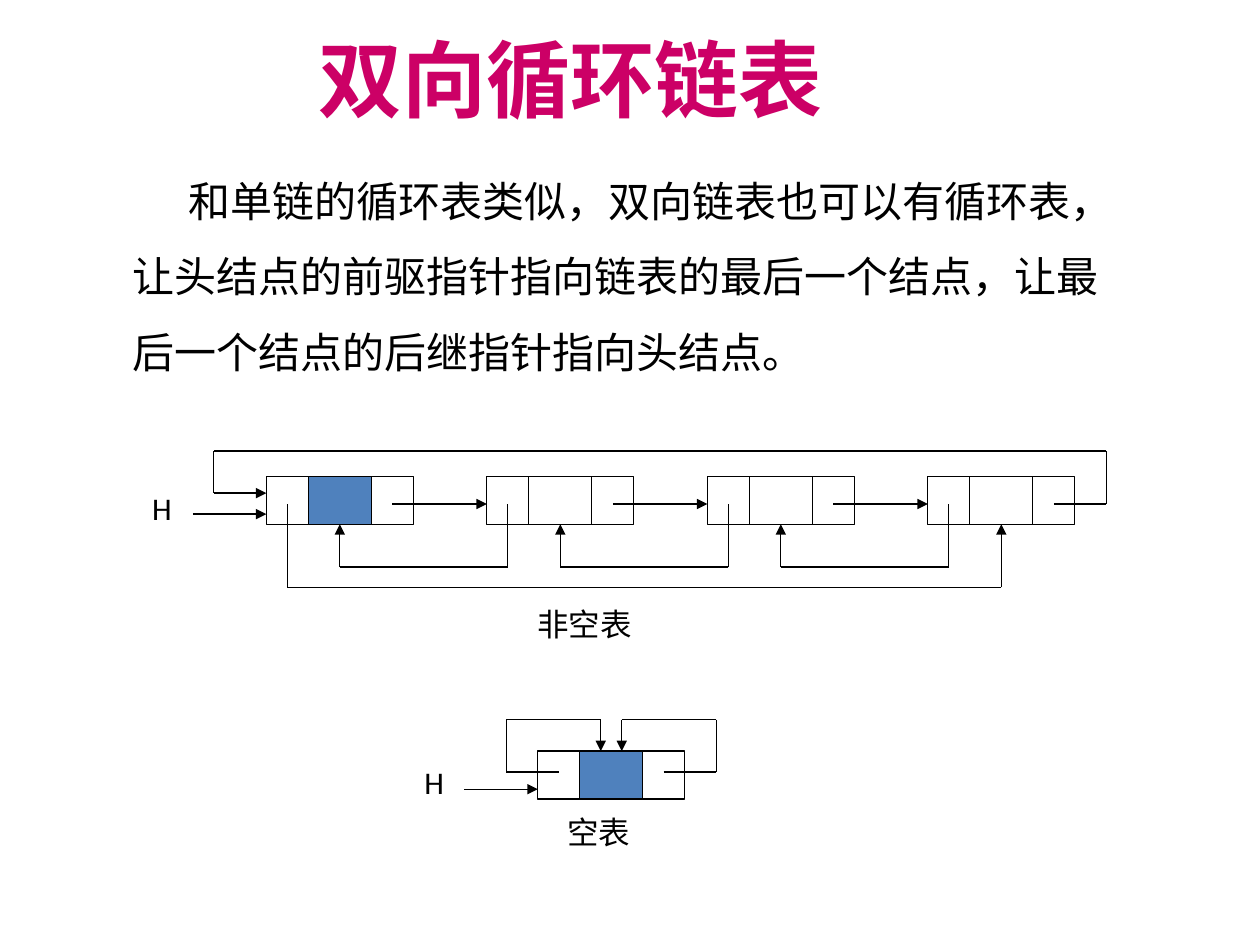
from lxml.etree import SubElement
from pptx import Presentation
from pptx.dml.color import RGBColor
from pptx.enum.shapes import MSO_CONNECTOR, MSO_SHAPE
from pptx.oxml.ns import qn
from pptx.util import Pt

BLACK = RGBColor(0x00, 0x00, 0x00)
BLUE = RGBColor(0x4F, 0x81, 0xBD)
MAGENTA = RGBColor(0xCC, 0x00, 0x66)

CELL_WIDTHS = (24, 36, 24)  # previous pointer, data, next pointer
CELL_HEIGHT = 27.4
TO_PREVIOUS, TO_DATA, TO_NEXT = 12, 42, 72  # cell centres from the node's left
LIST_LEFT, LIST_TOP, PITCH = 152.2, 272.2, 126
EMPTY_LEFT, EMPTY_TOP = 307.3, 429.2

deck = Presentation()
deck.slide_width, deck.slide_height = Pt(720), Pt(540)
slide = deck.slides.add_slide(deck.slide_layouts[6])
shapes = slide.shapes

# Text
for content, left, top, width, height, size, color, bold in (
    ("双向循环链表", 175, 12.2, 306.7, 65.5, 48, MAGENTA, True),
    ("和单链的循环表类似，双向链表也可以有循环表，\n"
     "让头结点的前驱指针指向链表的最后一个结点，让最\n"
     "后一个结点的后继指针指向头结点。", 68.4, 82.1, 597.6, 136.8, 24, BLACK, False),
    ("H", 79.9, 275.8, 48, 36, 18, BLACK, False),
    ("非空表", 300, 342, 128, 36, 18, BLACK, False),
    ("H", 235.4, 432.7, 48, 36, 18, BLACK, False),
    ("空表", 317.2, 460.8, 74, 36, 18, BLACK, False),
):
    box = shapes.add_textbox(Pt(left), Pt(top), Pt(width), Pt(height))
    box.text_frame.word_wrap = True
    box.text_frame.text = content
    paragraphs = box.text_frame.paragraphs
    for para in paragraphs:
        for span in para.runs:
            span.font.name = "Calibri"
            span.font.size = Pt(size)
            span.font.bold = bold
            span.font.color.rgb = color
        if len(paragraphs) > 1:
            para.line_spacing = 1.5
    if len(paragraphs) > 1:
        paragraphs[0]._p.get_or_add_pPr().set("indent", str(Pt(32.5)))


def add_node(left, top, is_head):
    """Draw the three cells of a node and return its data cell."""
    cells = []
    for index, width in enumerate(CELL_WIDTHS):
        cell = shapes.add_shape(MSO_SHAPE.RECTANGLE, Pt(left + sum(CELL_WIDTHS[:index])),
                                Pt(top), Pt(width), Pt(CELL_HEIGHT))
        cell.shadow.inherit = False
        cell.line.color.rgb = BLACK
        cell.line.width = Pt(0.75)
        if is_head and index == 1:
            cell.fill.solid()
            cell.fill.fore_color.rgb = BLUE
        else:
            cell.fill.background()
        cells.append(cell)
    return cells[1]


def add_route(*points, target=None):
    """Join points with straight lines, the last with an arrowhead.

    A target is a rectangle whose bottom middle is the last point.
    """
    for (x1, y1), (x2, y2) in zip(points, points[1:]):
        line = shapes.add_connector(MSO_CONNECTOR.STRAIGHT, Pt(x1), Pt(y1), Pt(x2), Pt(y2))
        line.line.color.rgb = BLACK
        line.line.width = Pt(0.75)
        properties = line._element.spPr
        SubElement(properties, qn("a:effectLst"))
    SubElement(line.line._get_or_add_ln(), qn("a:tailEnd"), type="triangle")
    if target is not None:
        line.end_connect(target, 2)


# Non-empty list
lefts = [LIST_LEFT + PITCH * index for index in range(4)]
data_cells = [add_node(left, LIST_TOP, left == LIST_LEFT) for left in lefts]
pointer_y, bottom = 288, LIST_TOP + CELL_HEIGHT
first, last = lefts[0], lefts[-1]

for left, following, data_cell in zip(lefts, lefts[1:], data_cells):
    add_route((left + TO_NEXT, pointer_y), (following, pointer_y))
    add_route((following + TO_PREVIOUS, pointer_y), (following + TO_PREVIOUS, 324),
              (left + TO_DATA, 324), (left + TO_DATA, bottom), target=data_cell)

add_route((first + TO_PREVIOUS, pointer_y), (first + TO_PREVIOUS, 335.7),
          (last + TO_DATA, 335.7), (last + TO_DATA, bottom), target=data_cells[-1])
add_route((last + TO_NEXT, pointer_y), (632.2, pointer_y), (632.2, 257.8),
          (122.2, 257.8), (122.2, 281.8), (first, 281.8))
add_route((110.2, 293.8), (first, 293.8))

# Empty list
add_node(EMPTY_LEFT, EMPTY_TOP, True)
center = EMPTY_LEFT + TO_DATA
for side in (-1, 1):
    loop_x, arrow_x = center + 60 * side, center + 6 * side
    add_route((center + 30 * side, 441.2), (loop_x, 441.2), (loop_x, 411.2),
              (arrow_x, 411.2), (arrow_x, EMPTY_TOP))
add_route((265.2, 451), (EMPTY_LEFT, 451))

deck.save("out.pptx")
